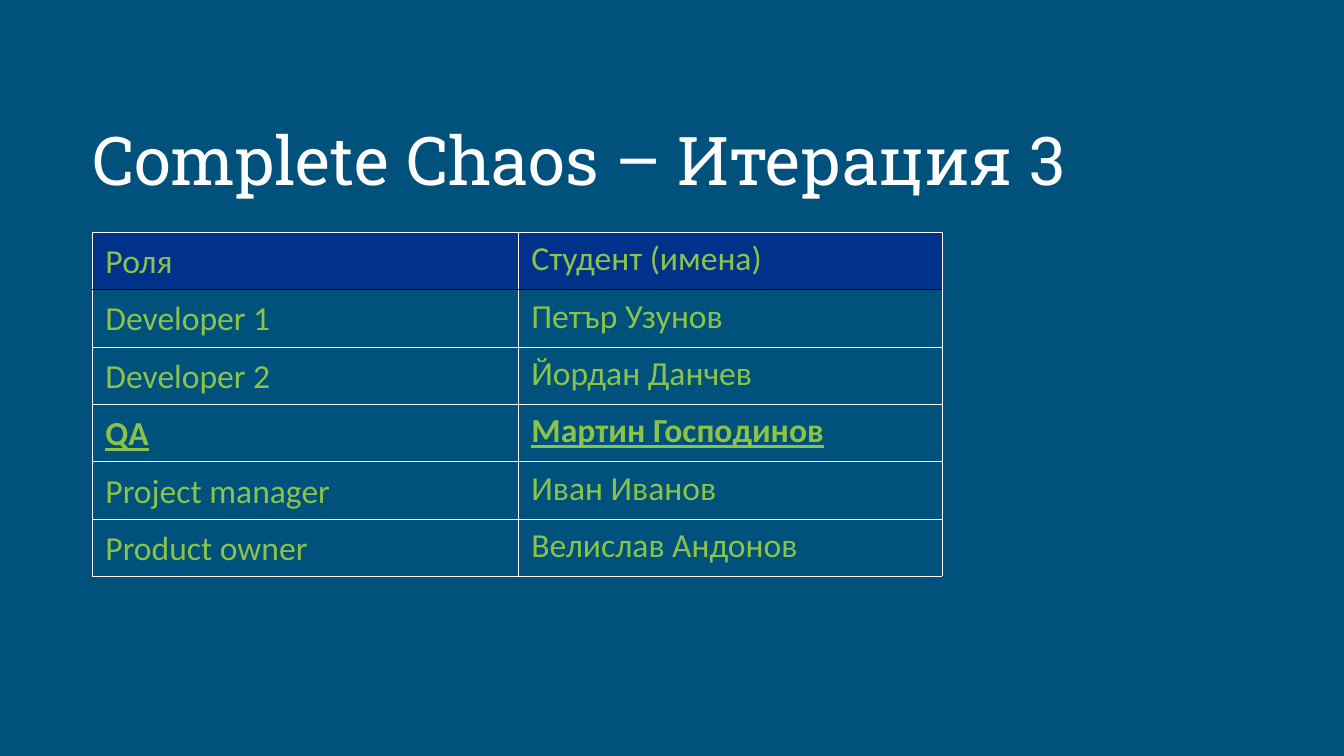
from pptx import Presentation
from pptx.dml.color import RGBColor
from pptx.enum.text import MSO_ANCHOR, PP_ALIGN
from pptx.oxml.ns import qn
from pptx.util import Emu, Pt
from lxml.etree import SubElement

TITLE = "Complete Chaos – Итерация 3"
ROWS = [
    ("Роля", "Студент (имена)"),
    ("Developer 1", "Петър Узунов"),
    ("Developer 2", "Йордан Данчев"),
    ("QA", "Мартин Господинов"),
    ("Project manager", "Иван Иванов"),
    ("Product owner", "Велислав Андонов"),
]
HIGHLIGHT = "QA"
BACK, HEADER, GREEN, WHITE, BLACK = "00517C", "00328C", "8BC34A", "FFFFFF", "000000"
COL_WIDTHS = (426, 424)
ROW_HEIGHT = 51
THIN, THICK = 0.06, 1


def px(n):
    """Turn picture pixels into EMU."""
    return Emu(round(n * 914400 / 134.4))


def rgb(value):
    """Turn a hex string into a colour."""
    return RGBColor.from_string(value)


def style(r, font, size, color):
    """Set font, size and colour of a run."""
    r.font.name, r.font.size = font, Pt(size)
    r.font.color.rgb = rgb(color)


def border(cell, side, color, width):
    """Draw one side (L, R, T or B) of a cell."""
    ln = SubElement(cell._tc.get_or_add_tcPr(), qn("a:ln" + side), w=str(Pt(width)))
    fill = SubElement(ln, qn("a:solidFill"))
    SubElement(fill, qn("a:srgbClr"), val=color)


def fill_cell(cell, text, row, col):
    """Write and format one table cell."""
    for side in "LRTB":
        under_header = (row, side) in ((0, "B"), (1, "T"))
        border(cell, side, *((BLACK, THICK) if under_header else (WHITE, THIN)))
    cell.fill.solid()
    cell.fill.fore_color.rgb = rgb(BACK if row else HEADER)
    cell.text_frame.text = text
    p = cell.text_frame.paragraphs[0]
    if col == 0:
        p.line_spacing, p.space_after = 1.07, Pt(4.5)
    r = p.runs[0]
    style(r, "Calibri", 18, GREEN)
    r.font.bold = r.font.underline = ROWS[row][0] == HIGHLIGHT


prs = Presentation()
prs.slide_width, prs.slide_height = px(1344), px(756)
s = prs.slides.add_slide(prs.slide_layouts[5])
s.background.fill.solid()
s.background.fill.fore_color.rgb = rgb(BACK)

title = s.shapes.title
title.left, title.top, title.width, title.height = map(px, (79, 105, 1015, 145))
tf = title.text_frame
tf.text = TITLE
tf.word_wrap = True
tf.vertical_anchor = MSO_ANCHOR.TOP
tf.margin_left = tf.margin_right = tf.margin_top = tf.margin_bottom = px(13)
p = tf.paragraphs[0]
p.alignment, p.space_after = PP_ALIGN.LEFT, Pt(16)
style(p.runs[0], "Roboto Slab", 36, WHITE)

table = s.shapes.add_table(len(ROWS), len(COL_WIDTHS), px(92), px(232),
                           px(sum(COL_WIDTHS)), px(ROW_HEIGHT * len(ROWS))).table
for column, width in zip(table.columns, COL_WIDTHS):
    column.width = px(width)
for i, texts in enumerate(ROWS):
    for j, text in enumerate(texts):
        fill_cell(table.cell(i, j), text, i, j)

prs.save("out.pptx")
